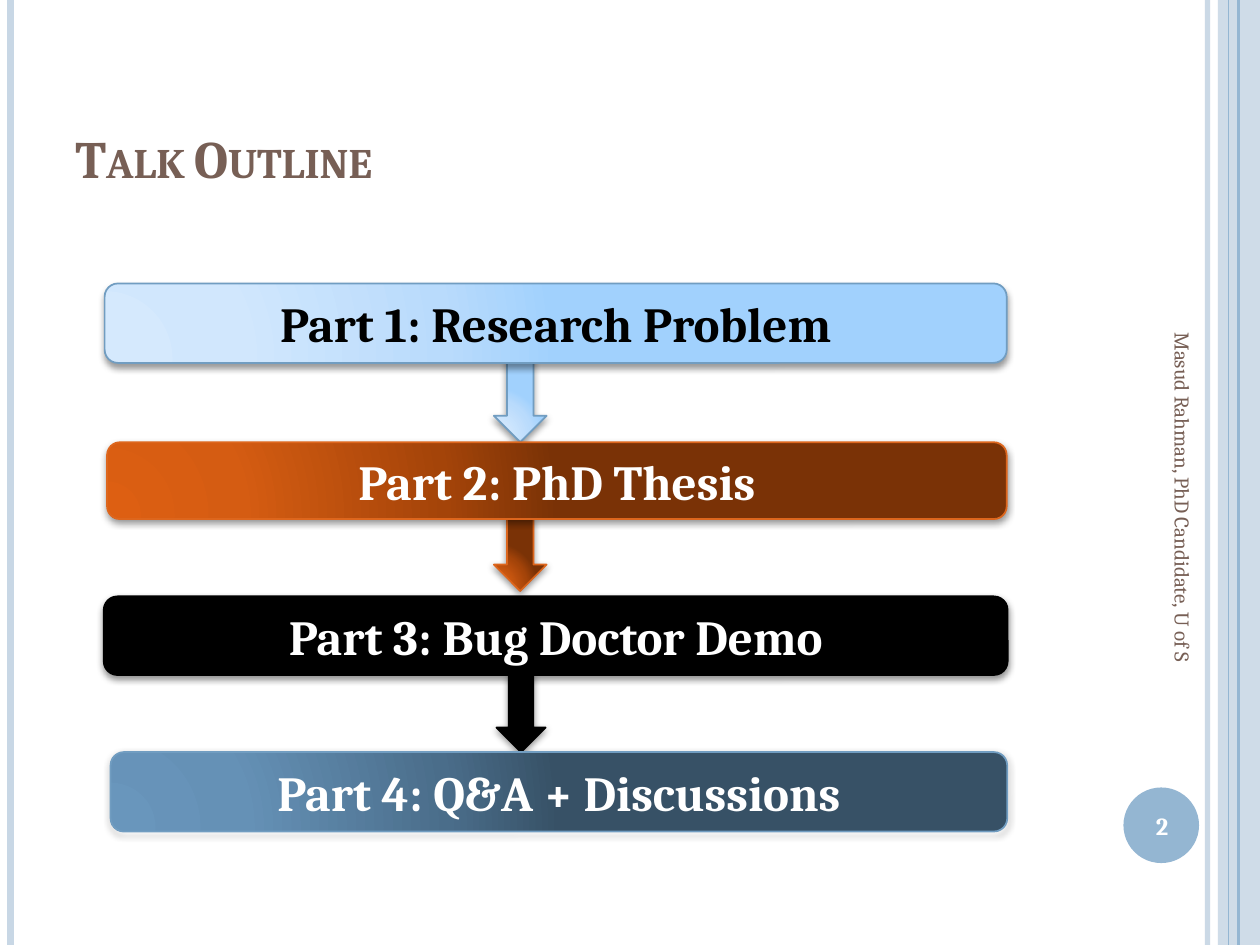
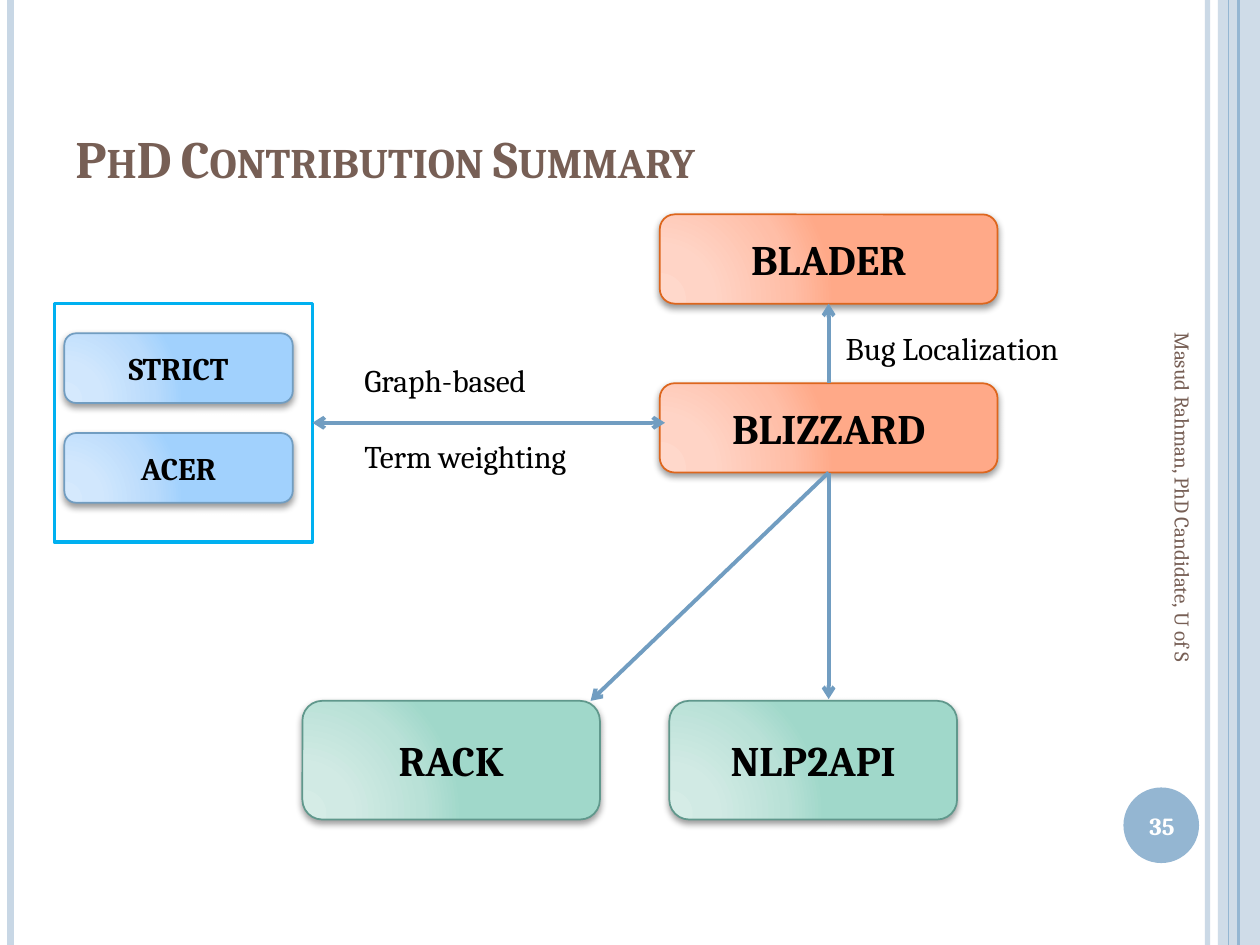
from lxml import etree
from pptx import Presentation
from pptx.dml.color import RGBColor
from pptx.enum.shapes import MSO_CONNECTOR, MSO_SHAPE
from pptx.enum.text import MSO_ANCHOR, PP_ALIGN
from pptx.oxml import parse_xml
from pptx.oxml.ns import qn
from pptx.util import Pt

ROUNDED, DOWN_ARROW = MSO_SHAPE.ROUNDED_RECTANGLE, MSO_SHAPE.DOWN_ARROW
RECTANGLE, OVAL = MSO_SHAPE.RECTANGLE, MSO_SHAPE.OVAL
STRAIGHT = MSO_CONNECTOR.STRAIGHT
LEFT, CENTER = PP_ALIGN.LEFT, PP_ALIGN.CENTER
TOP, MIDDLE, BOTTOM = MSO_ANCHOR.TOP, MSO_ANCHOR.MIDDLE, MSO_ANCHOR.BOTTOM

FONT = "Cambria"
BLACK = RGBColor(0x00, 0x00, 0x00)
WHITE = RGBColor(0xFF, 0xFF, 0xFF)
BROWN = RGBColor(0x77, 0x5F, 0x55)
PALE_BLUE = RGBColor(0xC8, 0xD7, 0xE5)
BAND_BLUE = RGBColor(0x94, 0xB6, 0xD2)
STEEL = RGBColor(0x71, 0x9D, 0xC1)
ORANGE = RGBColor(0xDD, 0x66, 0x1D)
GREEN = RGBColor(0x60, 0x98, 0x8C)
CYAN = RGBColor(0x00, 0xB0, 0xF0)

# Gradient colours at each stop position, from the glow outwards
STOPS = (0, 30, 75, 100)
SKY_FILL = [RGBColor.from_string(c) for c in ("D5E9FD", "D1E7FD", "B9DBFC", "A1D1FD")]
RUST_FILL = [RGBColor.from_string(c) for c in ("DD5F12", "D55C12", "A44409", "7A3206")]
SLATE_FILL = [RGBColor.from_string(c) for c in ("6996BC", "6591B6", "4A6D8A", "375166")]
PEACH_FILL = [RGBColor.from_string(c) for c in ("FFD8CB", "FFD4C6", "FFBEA7", "FFA988")]
MINT_FILL = [RGBColor.from_string(c) for c in ("D5ECE6", "D1EAE4", "B9E1D7", "A0D8CA")]

# Styles: gradient, line colour, text colour, shadow opacity (%), shadow distance
SKY = (SKY_FILL, STEEL, BLACK, 40, 2)
RUST = (RUST_FILL, ORANGE, WHITE, 42, 1.6)
INK = ([BLACK] * 4, BLACK, WHITE, 42, 1.6)
SLATE = (SLATE_FILL, STEEL, WHITE, 42, 1.6)
PEACH = (PEACH_FILL, ORANGE, BLACK, 40, 2)
MINT = (MINT_FILL, GREEN, BLACK, 40, 2)
DRAWING = 'xmlns:a="http://schemas.openxmlformats.org/drawingml/2006/main"'


def add_text(slide, box, lines, size, color, bold=False, align=LEFT, anchor=TOP, wrap=True):
    shape = slide.shapes.add_textbox(*map(Pt, box))
    frame = shape.text_frame
    frame.word_wrap = wrap
    frame.vertical_anchor = anchor
    frame.text = lines
    for paragraph in frame.paragraphs:
        paragraph.alignment = align
        font = paragraph.font
        font.name, font.size, font.bold = FONT, Pt(size), bold
        font.color.rgb = color
    return shape


def add_block(slide, kind, box, style, text="", size=24):
    colors, line_color, text_color, opacity, distance = style
    shape = slide.shapes.add_shape(kind, *map(Pt, box))
    shape.line.color.rgb = line_color
    shape.line.width = Pt(1)
    # Radial gradient glowing from the lower left
    shape.fill.background()
    properties = shape._element.spPr
    stops = "".join(
        f'<a:gs pos="{stop * 1000}"><a:srgbClr val="{color}"/></a:gs>'
        for stop, color in zip(STOPS, colors))
    properties.replace(properties.find(qn("a:noFill")), parse_xml(
        f'<a:gradFill {DRAWING} rotWithShape="1"><a:gsLst>{stops}</a:gsLst><a:path path="circle">'
        '<a:fillToRect l="5000" t="100000" r="120000" b="10000"/></a:path></a:gradFill>'))
    # Soft shadow straight below
    shape.shadow.inherit = False
    properties.find(qn("a:effectLst")).append(parse_xml(
        f'<a:outerShdw {DRAWING} blurRad="{Pt(4)}" dist="{Pt(distance)}" dir="5400000" '
        f'rotWithShape="0"><a:srgbClr val="000000"><a:alpha val="{opacity * 1000}"/>'
        '</a:srgbClr></a:outerShdw>'))
    if text:
        shape.text_frame.text = text
        paragraph = shape.text_frame.paragraphs[0]
        paragraph.alignment = CENTER
        font = paragraph.font
        font.name, font.size, font.bold = FONT, Pt(size), True
        font.color.rgb = text_color
    return shape


presentation = Presentation()
presentation.slide_width, presentation.slide_height = Pt(720), Pt(540)

# Shared frame: side bands, number disc, title and footer
slides = []
for title, number in (("Talk Outline", "2"), ("PhD Contribution Summary", "35")):
    slide = presentation.slides.add_slide(presentation.slide_layouts[6])
    slides.append(slide)

    band = slide.shapes.add_shape(RECTANGLE, Pt(696), 0, Pt(24), Pt(540))
    disc = slide.shapes.add_shape(OVAL, Pt(642), Pt(450), Pt(43.2), Pt(43.2))
    for shape, color in ((band, PALE_BLUE), (disc, BAND_BLUE)):
        shape.fill.solid()
        shape.fill.fore_color.rgb = color
        shape.line.fill.background()
        shape.shadow.inherit = False
    translucent = [(band, 87)]
    for x, color, width in ((690, PALE_BLUE, 3), (6, PALE_BLUE, 4.5),
                            (707.75, BAND_BLUE, 1.5), (702, BAND_BLUE, 0.75)):
        rule = slide.shapes.add_connector(STRAIGHT, Pt(x), 0, Pt(x), Pt(540))
        rule.line.color.rgb = color
        rule.line.width = Pt(width)
        etree.SubElement(rule._element.spPr, qn("a:effectLst"))
        if x == 690:
            translucent.append((rule, 93))
    for shape, opacity in translucent:
        color_element = next(shape._element.spPr.iter(qn("a:srgbClr")))
        etree.SubElement(color_element, qn("a:alpha"), val=str(opacity * 1000))

    heading = add_text(slide, (36, 21.6, 588, 90), title, 30, BROWN, bold=True, anchor=BOTTOM)
    heading.text_frame.paragraphs[0].runs[0]._r.get_or_add_rPr().set("cap", "small")
    add_text(slide, (640, 451.5, 48, 41), number, 14, WHITE, True, CENTER, MIDDLE)
    footer = add_text(slide, (550, 294.5, 252, 28.8),
                      "Masud Rahman, PhD Candidate, U of S", 12, BROWN, anchor=MIDDLE)
    footer.rotation = 90

outline, summary = slides

# Talk outline: each part with the arrow to the next one behind it
parts = (
    ("Part 1: Research Problem", SKY, (59.8, 162, 515.5, 45.4), (282.2, 202.3, 30.2, 50.4)),
    ("Part 2: PhD Thesis", RUST, (61.2, 252.7, 514.1, 43.9), (282.2, 295.9, 30.2, 41.8)),
    ("Part 3: Bug Doctor Demo", INK, (59.8, 341.3, 515.5, 43.9), (283.7, 385.2, 28.1, 44.6)),
    ("Part 4: Q&A + Discussions", SLATE, (63.2, 429.8, 512.4, 45.4), None),
)
for text, style, box, arrow_box in parts:
    if arrow_box:
        add_block(outline, DOWN_ARROW, arrow_box, style)
    part = add_block(outline, ROUNDED, box, style, text, 28)
    if style is INK:
        part.line.width = Pt(2)
        part.shadow.inherit = False

# Contribution summary: tools
tools = {}
for name, style, box, size in (
        ("BLIZZARD", PEACH, (377, 219, 193, 51), 24),
        ("STRICT", SKY, (36.8, 190.5, 130.5, 39.8), 18),
        ("ACER", SKY, (36.8, 247.5, 130.5, 39.8), 18),
        ("BLADER", PEACH, (377, 122.5, 193, 51), 24),
        ("RACK", MINT, (172.8, 400.5, 170, 67.8), 24),
        ("NLP2API", MINT, (382.5, 400.5, 164.4, 67.8), 24)):
    tools[name] = add_block(summary, ROUNDED, box, style, name, size)

query_frame = summary.shapes.add_shape(RECTANGLE, Pt(31), Pt(173.5), Pt(147.6), Pt(136.2))
query_frame.fill.background()
query_frame.line.color.rgb = CYAN
query_frame.line.width = Pt(2)
query_frame.shadow.inherit = False

# Links: start, end, joined start and end shapes with their sides, arrow ends
blizzard, blader = tools["BLIZZARD"], tools["BLADER"]
for start, end, start_join, end_join, arrow_ends in (
        ((178.6, 241.6), (380, 241.6), (query_frame, 3), None, ("headEnd", "tailEnd")),
        ((473.5, 219), (473.5, 173.5), (blizzard, 0), (blader, 2), ("tailEnd",)),
        ((473.5, 270), (337.5, 400.5), (blizzard, 2), None, ("tailEnd",)),
        ((473.5, 270), (473.5, 399.5), (blizzard, 2), None, ("tailEnd",))):
    link = summary.shapes.add_connector(STRAIGHT, *map(Pt, start + end))
    link.begin_connect(*start_join)
    if end_join:
        link.end_connect(*end_join)
    link.line.color.rgb = STEEL
    link.line.width = Pt(2.25)
    for arrow_end in arrow_ends:
        etree.SubElement(link.line._get_or_add_ln(), qn(f"a:{arrow_end}"), type="arrow")
    etree.SubElement(link._element.spPr, qn("a:effectLst"))

# Link labels
label = add_text(summary, (201.2, 203, 148.3, 72.7), "Graph-based\nTerm weighting",
                 18, BLACK, wrap=False)
label.text_frame.paragraphs[1].space_before = Pt(21.6)
add_text(summary, (476.2, 184.5, 156.2, 29), "Bug Localization", 18, BLACK, wrap=False)

presentation.save("out.pptx")
